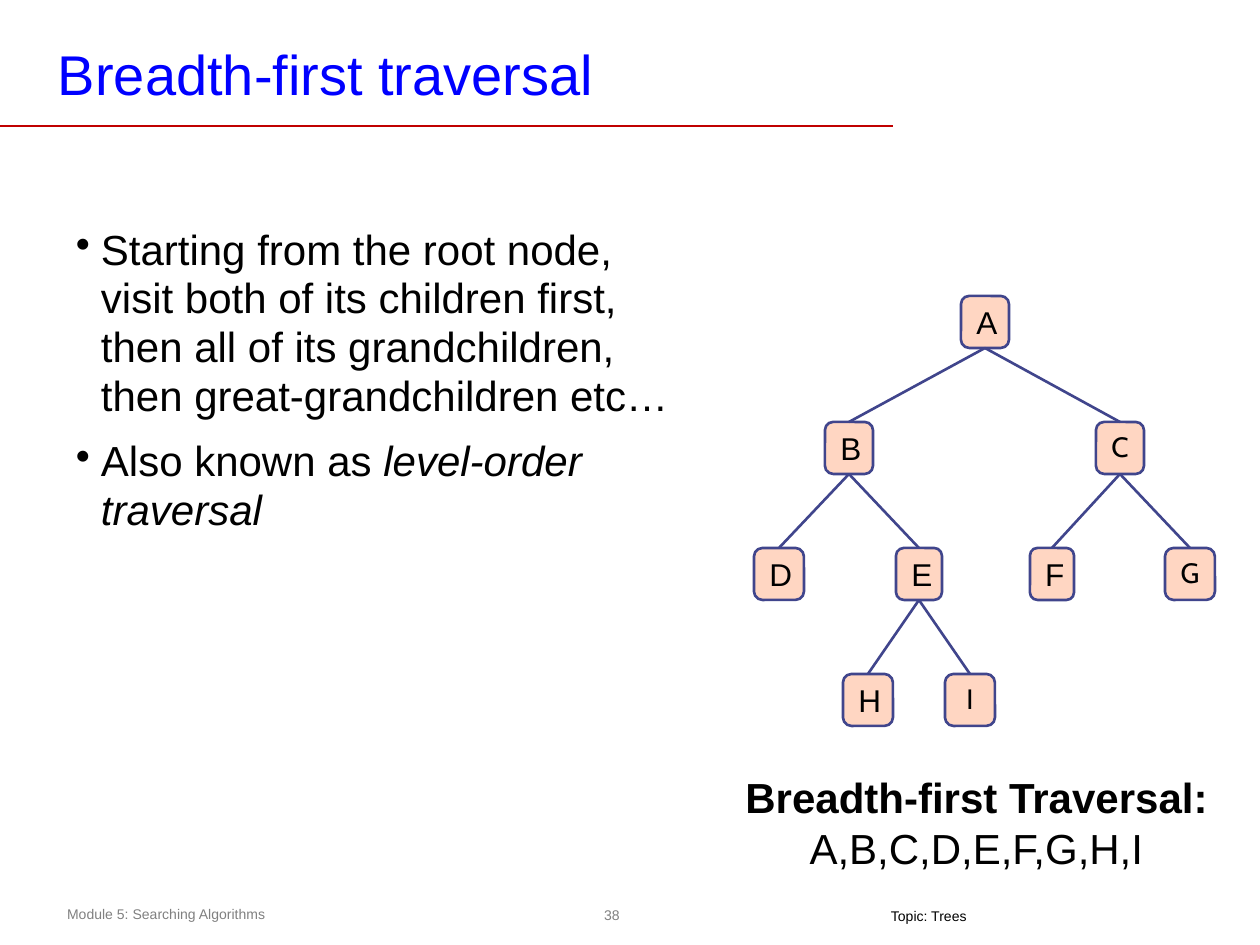
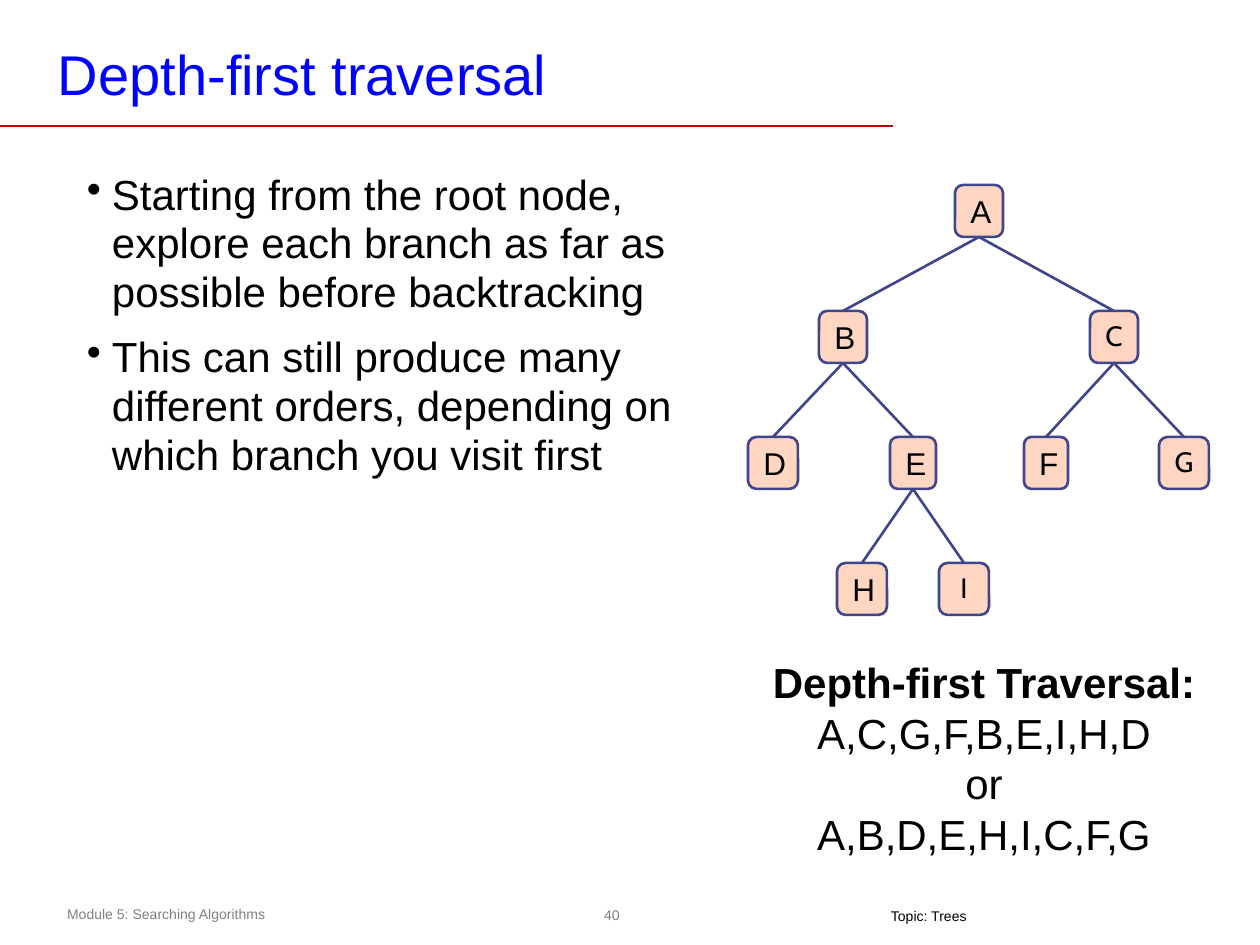
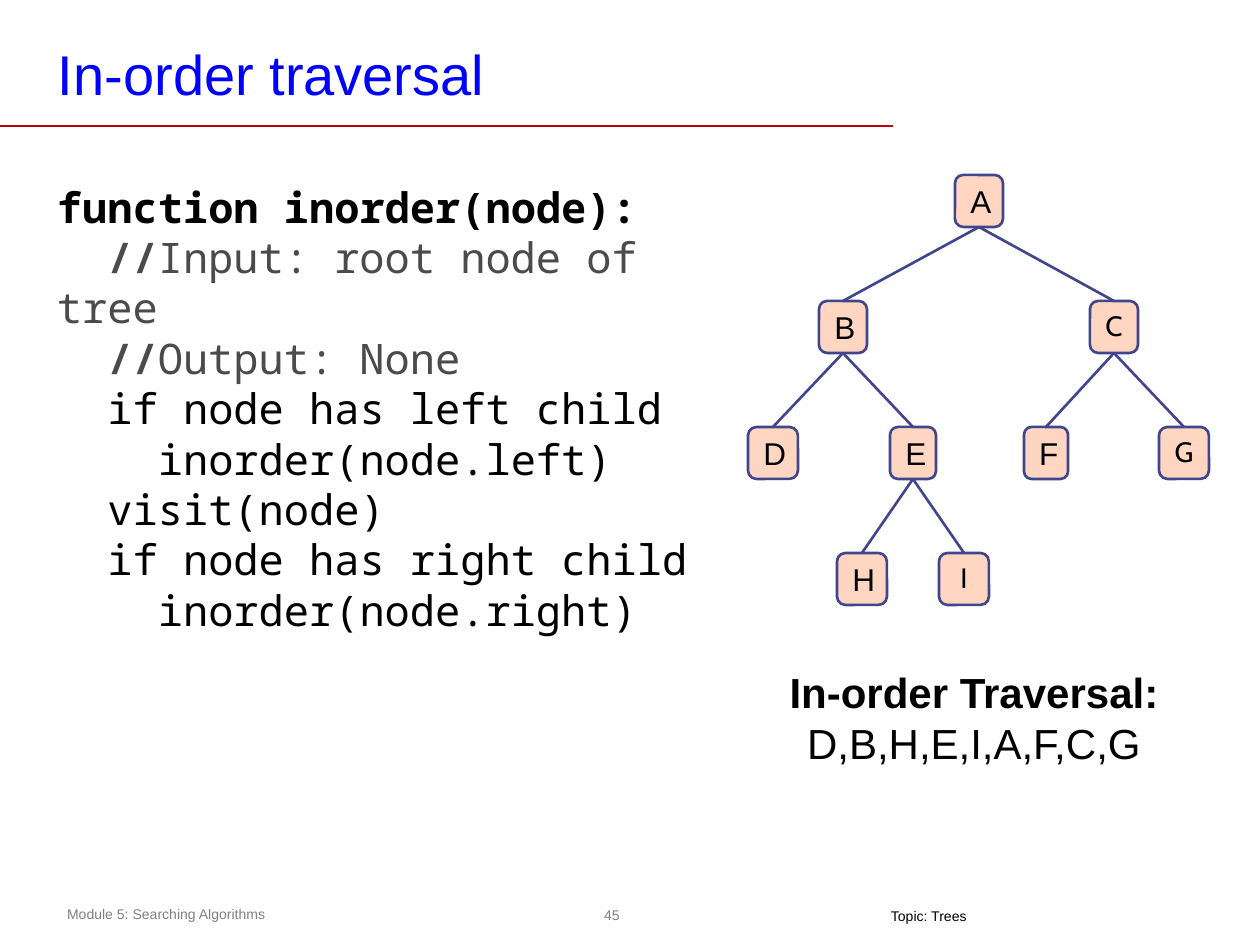
from pptx import Presentation
from pptx import util as u
from pptx.dml.color import RGBColor
from pptx.enum import shapes, text
from pptx.oxml.ns import qn
from lxml import etree

SCALE = 914400 / 126  # EMU in one px
COLORS = {
    "title": "0000FF", "text": "000000", "comment": "4B4B4B",
    "footer": "808080", "rule": "C00000", "node": "FFD6C2", "edge": "40458C",
}
LEFT, CENTER = text.PP_ALIGN.LEFT, text.PP_ALIGN.CENTER
TOP, MIDDLE = text.MSO_ANCHOR.TOP, text.MSO_ANCHOR.MIDDLE
BOLD = {"bold": True}


def px(*lengths):
    return [round(n * SCALE) for n in lengths]


def write(shape, lines, size, color="text", font="Arial", align=LEFT, anchor=TOP,
          insets=(13, 6, 13, 6), wrap=True, spacing=None, gap=0, bullet=False):
    """Fill a shape; a line is a string or a list of (text, style) runs."""
    tf = shape.text_frame
    tf.word_wrap = wrap
    tf.vertical_anchor = anchor
    tf.margin_left, tf.margin_top, tf.margin_right, tf.margin_bottom = px(*insets)
    for i, line in enumerate(lines):
        p = tf.paragraphs[0] if i == 0 else tf.add_paragraph()
        p.alignment = align
        if spacing:
            p.line_spacing = spacing
        p.space_before = u.Pt(gap if i else 0)
        if bullet:
            pPr = p._p.get_or_add_pPr()
            pPr.set("marL", str(px(25)[0]))
            pPr.set("indent", str(px(-25)[0]))
            etree.SubElement(pPr, qn("a:buChar")).set("char", "•")
        for words, style in [(line, {})] if isinstance(line, str) else line:
            r = p.add_run()
            r.text = words
            r.font.name, r.font.size = font, u.Pt(size)
            r.font.bold = style.get("bold", False)
            r.font.italic = style.get("italic", False)
            r.font.color.rgb = RGBColor.from_string(COLORS[style.get("color", color)])


def join(s, start, end, color, width):
    line = s.shapes.add_connector(shapes.MSO_CONNECTOR.STRAIGHT, *px(*start, *end))
    line.line.color.rgb = RGBColor.from_string(COLORS[color])
    line.line.width = u.Pt(width)
    etree.SubElement(line._element.spPr, qn("a:effectLst"))
    return line


# Tree: letter -> parent, centre x, level, width
TREE = {
    "A": (None, 985, 0, 48), "B": ("A", 849, 1, 48), "C": ("A", 1120, 1, 48),
    "D": ("B", 779, 2, 50), "E": ("B", 919, 2, 46), "F": ("C", 1052, 2, 44),
    "G": ("C", 1190, 2, 50), "H": ("E", 868, 3, 50), "I": ("E", 970, 3, 50),
}
NODE_HEIGHT, LEVEL_STEP = 52, 126
CENTERED_LETTERS = "CGI"

BULLETS = {"size": 24, "spacing": 0.97, "gap": 9, "bullet": True}
CODE = {"size": 24, "font": "Noto Sans Mono"}
NOTE, NOTE_MARK = {"color": "comment"}, {"color": "comment", "bold": True}

SLIDES = [
    {"title": "Breadth-first traversal", "number": "38",
     "body": [
         "Starting from the root node, visit both of its children first, "
         "then all of its grandchildren, then great-grandchildren etc…",
         [("Also known as ", {}), ("level-order traversal", {"italic": True})]],
     "body_box": (63, 220, 630, 640), "body_format": BULLETS,
     "tree_shift": 0, "tree_top": 296,
     "caption": [[("Breadth-first Traversal:", BOLD)], "A,B,C,D,E,F,G,H,I"],
     "caption_box": (714, 766, 525, 115)},
    {"title": "Depth-first traversal", "number": "40",
     "body": [
         "Starting from the root node, explore each branch as far as possible "
         "before backtracking",
         "This can still produce many different orders, depending on which "
         "branch you visit first"],
     "body_box": (74, 165, 630, 640), "body_format": BULLETS,
     "tree_shift": -6, "tree_top": 185,
     "caption": [[("Depth-first Traversal:", BOLD)], "A,C,G,F,B,E,I,H,D", "or",
                 "A,B,D,E,H,I,C,F,G"],
     "caption_box": (749, 651, 470, 217)},
    {"title": "In-order traversal", "number": "45",
     "body": [
         [("function inorder(node):", BOLD)],
         [("  //", NOTE_MARK), ("Input: root node of tree", NOTE)],
         [("  //", NOTE_MARK), ("Output: None", NOTE)],
         "  if node has left child",
         "    inorder(node.left)",
         "  visit(node)",
         "  if node has right child",
         "    inorder(node.right)"],
     "body_box": (44, 175, 699, 471), "body_format": CODE,
     "tree_shift": -6, "tree_top": 175,
     "caption": [[("In-order Traversal:", BOLD)], "D,B,H,E,I,A,F,C,G"],
     "caption_box": (739, 661, 470, 115)},
]

prs = Presentation()
prs.slide_width, prs.slide_height = px(1260, 945)

for spec_ in SLIDES:
    s = prs.slides.add_slide(prs.slide_layouts[5])

    # Title and rule
    title = s.shapes.title
    title.left, title.top, title.width, title.height = px(49, 35, 935, 76)
    write(title, [spec_["title"]], 32, "title", insets=(9, 4, 9, 4))
    join(s, (0, 126), (893, 126), "rule", 1)

    # Footer
    write(s.shapes.add_textbox(*px(54, 900, 459, 30)),
          ["Module 5: Searching Algorithms"], 8, "footer")
    write(s.shapes.add_textbox(*px(597, 898, 30, 33)), [spec_["number"]], 8, "footer",
          align=CENTER, anchor=MIDDLE, insets=(5, 5, 5, 5), wrap=False)
    write(s.shapes.add_textbox(*px(878, 908, 102, 21)), ["Topic: Trees"], 8,
          insets=(13, 0, 13, 5), wrap=False)

    # Explanation and resulting order
    write(s.shapes.add_textbox(*px(*spec_["body_box"])), spec_["body"],
          **spec_["body_format"])
    write(s.shapes.add_textbox(*px(*spec_["caption_box"])), spec_["caption"], 24,
          align=CENTER)

    # Tree, each node joined to its parent
    nodes = {}
    for letter, (parent, center, level, width) in TREE.items():
        x = center + spec_["tree_shift"]
        y = spec_["tree_top"] + level * LEVEL_STEP
        node = nodes[letter] = s.shapes.add_shape(
            shapes.MSO_SHAPE.ROUNDED_RECTANGLE,
            *px(x - width // 2, y, width, NODE_HEIGHT))
        node.adjustments[0] = 0.17
        node.shadow.inherit = False
        node.fill.solid()
        node.fill.fore_color.rgb = RGBColor.from_string(COLORS["node"])
        node.line.color.rgb = RGBColor.from_string(COLORS["edge"])
        node.line.width = u.Pt(1.5)
        if letter in CENTERED_LETTERS:
            write(node, [letter], 16, font="Cabin", align=CENTER, anchor=MIDDLE,
                  wrap=False, spacing=0.93)
        else:
            write(node, [letter], 18, anchor=MIDDLE, wrap=False)
        if parent:
            edge = join(s, (x, y), (x, y), "edge", 1.5)
            edge.begin_connect(nodes[parent], 2)
            edge.end_connect(node, 0)

prs.save("out.pptx")
